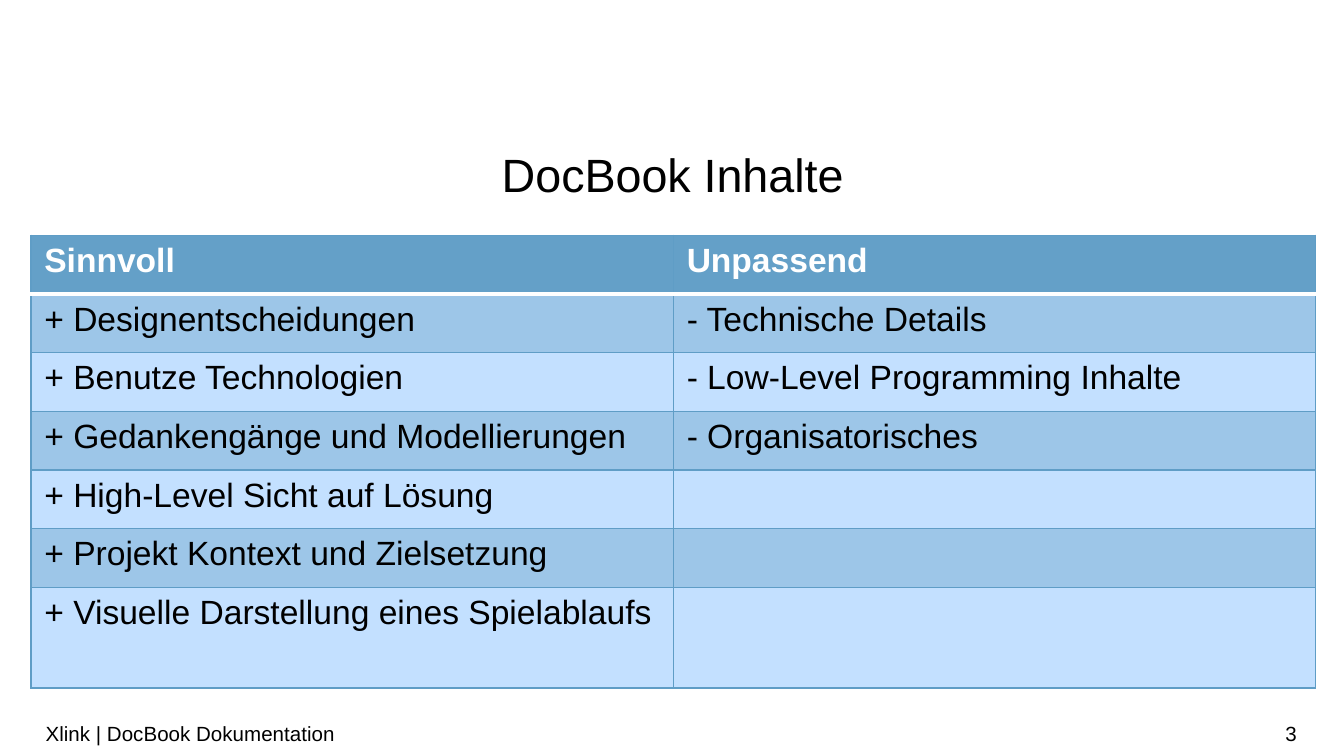
from lxml import etree
from pptx import Presentation
from pptx.dml.color import RGBColor
from pptx.enum import text as t
from pptx.oxml import ns
from pptx.util import Inches, Pt

FONT = "Arial"
WIDTH = 10
COLORS = {
    "head": "64A0C8",
    "band": "9DC6E8",
    "pale": "C3E0FF",
    "line": "5F9DC6",
    "white": "FFFFFF",
    "black": "000000",
}
HEADS = ("Sinnvoll", "Unpassend")
PROS = (
    "+ Designentscheidungen",
    "+ Benutze Technologien",
    "+ Gedankengänge und Modellierungen",
    "+ High-Level Sicht auf Lösung",
    "+ Projekt Kontext und Zielsetzung",
    "+ Visuelle Darstellung eines Spielablaufs",
)
CONS = (
    "- Technische Details",
    "- Low-Level Programming Inhalte",
    "- Organisatorisches",
    "", "", "",
)


def rgb(name):
    return RGBColor.from_string(COLORS[name])


def add_run(para, words, size, color="black", bold=False):
    run = para.add_run()
    run.text = words
    run.font.name = FONT
    run.font.size = Pt(size)
    run.font.bold = bold
    run.font.color.rgb = rgb(color)


def add_text(slide, box, words, size, align, pad=0, anchor=t.MSO_ANCHOR.TOP, lead=None):
    frame = slide.shapes.add_textbox(*map(Inches, box)).text_frame
    frame.word_wrap = True
    frame.vertical_anchor = anchor
    frame.margin_left = frame.margin_right = 0
    frame.margin_top = frame.margin_bottom = Inches(pad)
    para = frame.paragraphs[0]
    para.alignment = align
    if lead:
        para.line_spacing = Pt(lead)
    add_run(para, words, size)


def set_edges(cell, edges):
    """Draw cell borders; edges maps L, R, T, B (in that order) to colour and width."""
    props = cell._tc.get_or_add_tcPr()
    for i, (side, (color, width)) in enumerate(edges.items()):
        line = etree.Element(ns.qn(f"a:ln{side}"), w=str(Pt(width)))
        fill = etree.SubElement(line, ns.qn("a:solidFill"))
        etree.SubElement(fill, ns.qn("a:srgbClr"), val=COLORS[color])
        props.insert(i, line)


def add_grid(slide, box, last):
    """Two-column table; the last row has its own height, the others share the rest."""
    rows = [HEADS, *zip(PROS, CONS)]
    left, top, width, height = box
    grid = slide.shapes.add_table(len(rows), 2, *map(Inches, box)).table
    for col in grid.columns:
        col.width = Inches(width / 2)
    for row in grid.rows:
        row.height = Inches((height - last) / (len(rows) - 1))
    grid.rows[len(rows) - 1].height = Inches(last)

    thin, rule = ("line", 0.75), ("white", 2)
    for r, row in enumerate(rows):
        head = r == 0
        for c, words in enumerate(row):
            cell = grid.cell(r, c)
            cell.fill.solid()
            cell.fill.fore_color.rgb = rgb("head" if head else "band" if r % 2 else "pale")
            edges = dict.fromkeys("LRTB", thin)
            if head:
                edges["B"] = rule
            elif r == 1:
                edges["T"] = rule
            set_edges(cell, edges)
            para = cell.text_frame.paragraphs[0]
            if words:
                add_run(para, words, 18, "white" if head else "black", head)
            else:
                para.font.size = Pt(18)


def add_foot(slide, box, words, number, share):
    """Footer line: text on the left, page number on the right."""
    left, top, width, height = box
    middle = t.MSO_ANCHOR.MIDDLE
    add_text(slide, (left, top, share, height), words, 11,
             t.PP_ALIGN.LEFT, 0.05, middle)
    add_text(slide, (left + share, top, width - share, height), number, 11,
             t.PP_ALIGN.RIGHT, 0.05, middle)


def main():
    deck = Presentation()
    deck.slide_width, deck.slide_height = Inches(WIDTH), Inches(WIDTH * 9 / 16)
    slide = deck.slides.add_slide(deck.slide_layouts[6])

    # Table
    add_grid(slide, (0.23, 1.75, 9.56, 3.37), 0.75)
    # Title
    add_text(slide, (0.35, 1.06, 9.31, 0.42), "DocBook Inhalte", 25,
             t.PP_ALIGN.CENTER, lead=32)
    # Footer
    add_foot(slide, (0.34, 5.31, 9.31, 0.3), "Xlink | DocBook Dokumentation", "3", 7.07)

    deck.save("out.pptx")


if __name__ == "__main__":
    main()
